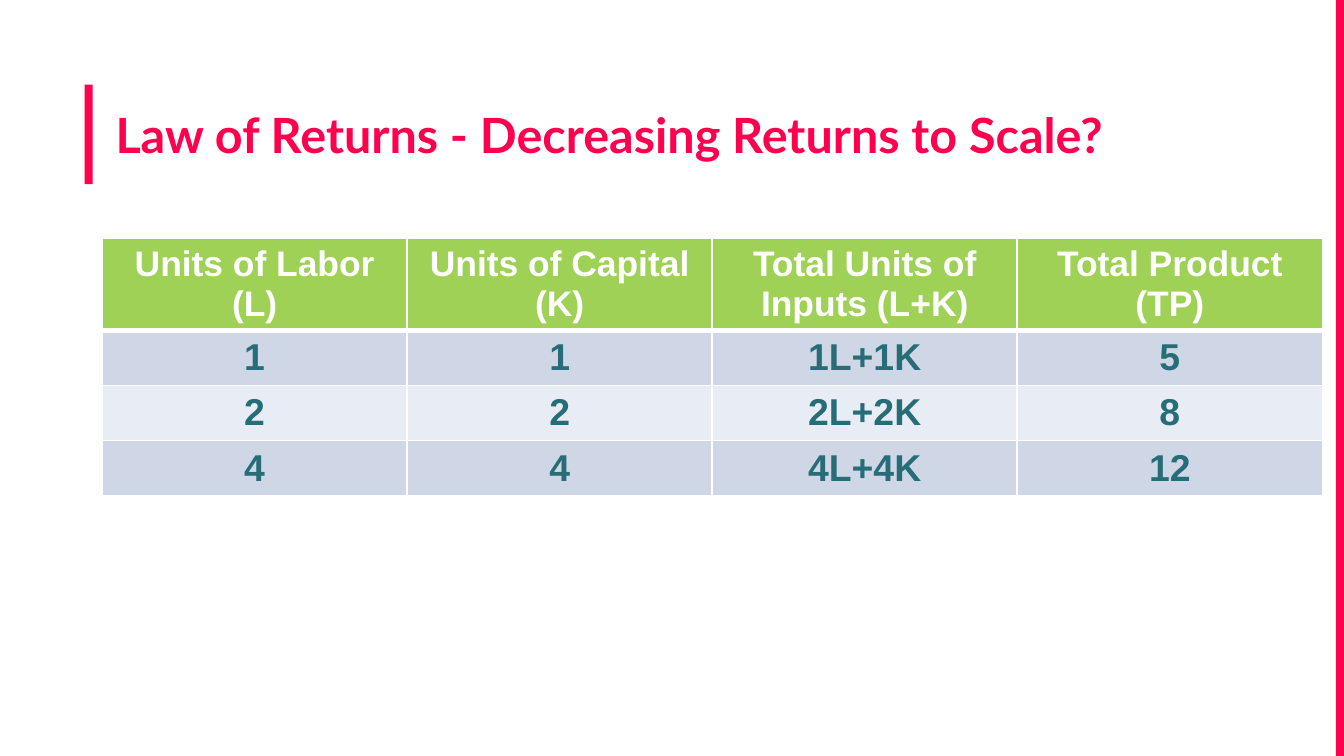
"""Build a slide with a table on decreasing returns to scale."""
import pptx
import pptx.dml.color
import pptx.enum.shapes
import pptx.enum.text
import pptx.oxml
import pptx.oxml.ns
import pptx.util
from pptx.util import Inches

SLIDE_WIDTH = Inches(10)
SLIDE_HEIGHT = SLIDE_WIDTH * 9 // 16
ACCENT = "FF004E"
WHITE = "FFFFFF"
HEADER_FILL = "9ED155"
BAND_FILLS = ("CFD7E7", "E8ECF4")
BODY_COLOR = "266D78"
ROWS = [
    ("Units of Labor (L)", "Units of Capital (K)", "Total Units of Inputs (L+K)", "Total Product (TP)"),
    ("1", "1", "1L+1K", "5"),
    ("2", "2", "2L+2K", "8"),
    ("4", "4", "4L+4K", "12"),
]


def rgb(value):
    """Return the colour for a hex string."""
    return pptx.dml.color.RGBColor.from_string(value)


def write(tf, text, size, color, font="Arial", align=pptx.enum.text.PP_ALIGN.CENTER):
    """Put one bold formatted run into a text frame."""
    p = tf.paragraphs[0]
    p.alignment = align
    r = p.add_run()
    r.text = text
    r.font.name = font
    r.font.size = pptx.util.Pt(size)
    r.font.bold = True
    r.font.color.rgb = rgb(color)


def add_bar(s, left, top, height):
    """Add a thin vertical accent bar."""
    sp = s.shapes.add_shape(pptx.enum.shapes.MSO_SHAPE.RECTANGLE, left, top, Inches(0.06), height)
    sp.shadow.inherit = False
    sp.fill.solid()
    sp.fill.fore_color.rgb = rgb(ACCENT)
    sp.line.fill.background()


def set_title(s, text):
    """Place and format the title placeholder."""
    sp = s.shapes.title
    sp.left, sp.top, sp.width, sp.height = map(Inches, (0.76, 0.68, 9.08, 0.72))
    tf = sp.text_frame
    tf.word_wrap = True
    tf.auto_size = pptx.enum.text.MSO_AUTO_SIZE.NONE
    tf.vertical_anchor = pptx.enum.text.MSO_ANCHOR.TOP
    tf.margin_left = tf.margin_right = tf.margin_top = tf.margin_bottom = Inches(0.1)
    write(tf, text, 26, ACCENT, font="Lato", align=pptx.enum.text.PP_ALIGN.LEFT)


def set_borders(cell, **widths):
    """Draw white cell borders with widths in points by side."""
    for side, width in widths.items():
        cell._tc.get_or_add_tcPr().append(pptx.oxml.parse_xml(
            f'<a:ln{side} {pptx.oxml.ns.nsdecls("a")} w="{pptx.util.Pt(width)}">'
            f'<a:solidFill><a:srgbClr val="{WHITE}"/></a:solidFill></a:ln{side}>'))


def add_table(s, rows):
    """Add the table with a header row and banded body rows."""
    heights = [0.68] + [0.41] * (len(rows) - 1)
    table = s.shapes.add_table(len(rows), len(rows[0]), Inches(0.76), Inches(1.77),
                               Inches(9.08), Inches(sum(heights))).table
    for i, row in enumerate(rows):
        table.rows[i].height = Inches(heights[i])
        header = i == 0
        for j, text in enumerate(row):
            cell = table.cell(i, j)
            set_borders(cell, L=1, R=1, T=3 if i == 1 else 1, B=3 if header else 1)
            cell.fill.solid()
            cell.fill.fore_color.rgb = rgb(HEADER_FILL if header else BAND_FILLS[(i - 1) % 2])
            write(cell.text_frame, text, 19 if header else 20, WHITE if header else BODY_COLOR)


def main():
    """Build and save the slide."""
    prs = pptx.Presentation()
    prs.slide_width, prs.slide_height = SLIDE_WIDTH, SLIDE_HEIGHT
    s = prs.slides.add_slide(prs.slide_layouts[5])
    add_bar(s, Inches(0.63), Inches(0.63), Inches(0.74))
    add_bar(s, Inches(9.94), 0, SLIDE_HEIGHT)
    set_title(s, "Law of Returns - Decreasing Returns to Scale?")
    add_table(s, ROWS)
    prs.save("out.pptx")


if __name__ == "__main__":
    main()
